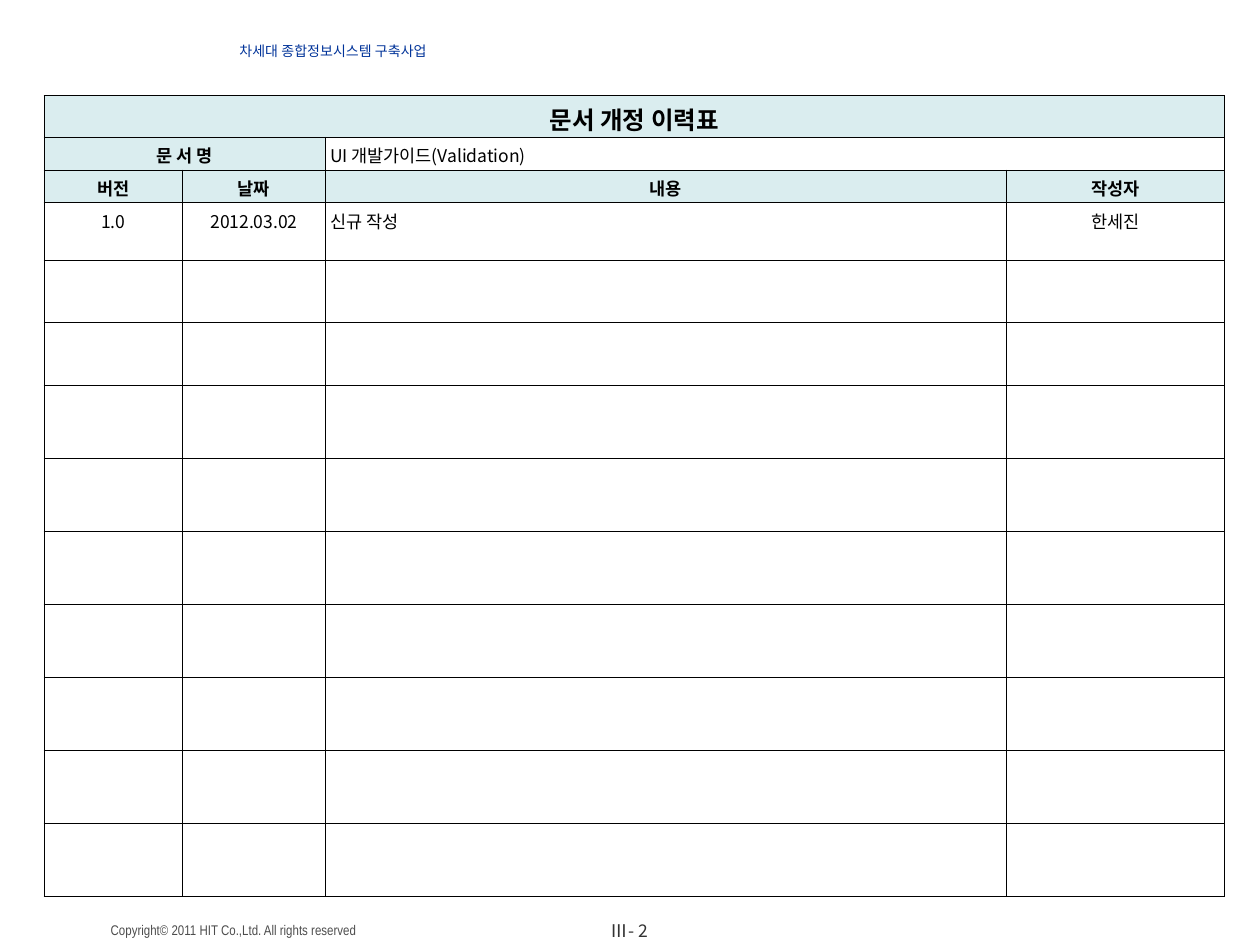
from dataclasses import dataclass

from lxml import etree
from pptx import Presentation
from pptx import util as u
from pptx.dml import color
from pptx.enum import text
from pptx.oxml import ns


@dataclass(frozen=True)
class Theme:
    sans: str = "Noto Sans CJK KR"
    narrow: str = "Arial Narrow"
    ink: str = "000000"
    project: str = "003399"
    page: str = "333333"
    copyright: str = "4D4D4D"
    heading: str = "DAEDEF"
    small: int = 8
    body: int = 10
    title: int = 14
    border: float = 0.5
    cell_margin: float = 0.04


class RevisionPage:
    def __init__(self, deck, theme):
        self.deck = deck
        self.theme = theme
        self.slide = deck.slides.add_slide(deck.slide_layouts[6])

    def across(self, percent):
        return round(self.deck.slide_width * percent / 100)

    def down(self, percent):
        return round(self.deck.slide_height * percent / 100)

    def set_text(self, frame, words, size, ink, face, bold=False, centred=True):
        para = frame.paragraphs[0]
        para.text = words
        para.alignment = text.PP_ALIGN.CENTER if centred else text.PP_ALIGN.LEFT
        font = para.font
        font.size, font.bold, font.name = u.Pt(size), bold, face
        font.color.rgb = color.RGBColor.from_string(ink)
        for properties in para._p.iter(ns.qn("a:defRPr")):
            etree.SubElement(properties, ns.qn("a:ea"), typeface=face)

    def label(self, left, top, width, height, words, size, ink, face, wrap=False):
        box = self.slide.shapes.add_textbox(
            self.across(left), self.down(top), self.across(width), self.down(height))
        frame = box.text_frame
        frame.margin_left = frame.margin_right = frame.margin_top = frame.margin_bottom = 0
        frame.word_wrap = wrap
        frame.auto_size = text.MSO_AUTO_SIZE.SHAPE_TO_FIT_TEXT
        self.set_text(frame, words, size, ink, face)

    def table(self, left, top, columns, rows):
        frame = self.slide.shapes.add_table(
            len(rows), len(columns), self.across(left), self.down(top),
            self.across(sum(columns)), self.down(sum(rows)))
        table = frame.table
        table.first_row = table.horz_banding = False
        for column, width in zip(table.columns, columns):
            column.width = self.across(width)
        for row, height in zip(table.rows, rows):
            row.height = self.down(height)
        for cell in table.iter_cells():
            cell.fill.background()
            cell.margin_left = cell.margin_right = u.Inches(self.theme.cell_margin)
            cell.margin_top = cell.margin_bottom = u.Inches(self.theme.cell_margin)
            self.outline(cell)
        return table

    def outline(self, cell):
        properties = cell._tc.get_or_add_tcPr()
        for place, side in enumerate(("lnL", "lnR", "lnT", "lnB")):
            line = etree.Element(ns.qn(f"a:{side}"), w=str(u.Pt(self.theme.border)))
            fill = etree.SubElement(line, ns.qn("a:solidFill"))
            etree.SubElement(fill, ns.qn("a:srgbClr"), val=self.theme.ink)
            properties.insert(place, line)

    def entry(self, cell, words, centred=True):
        self.set_text(cell.text_frame, words, self.theme.body, self.theme.ink,
                      self.theme.sans, centred=centred)

    def heading(self, cell, words, size):
        cell.fill.solid()
        cell.fill.fore_color.rgb = color.RGBColor.from_string(self.theme.heading)
        cell.vertical_anchor = text.MSO_ANCHOR.MIDDLE
        self.set_text(cell.text_frame, words, size, self.theme.ink, self.theme.sans, bold=True)


def main():
    deck = Presentation()
    deck.slide_width, deck.slide_height = u.Inches(10), u.Inches(7.5)
    theme = Theme()
    page = RevisionPage(deck, theme)

    page.label(5.5, 97.47, 26.1, 1.2, "Copyright© 2011 HIT Co.,Ltd. All rights reserved",
               theme.small, theme.copyright, theme.narrow)
    page.label(41.9, 97.33, 16.1, 1.6, "Ⅲ- 2", theme.body, theme.page, theme.sans, wrap=True)
    page.label(15.3, 4.53, 22.3, 0.93, "차세대 종합정보시스템 구축사업",
               theme.small, theme.project, theme.sans)

    history = page.table(3.5, 10.13, [11, 11.3, 54.1, 17.3],
                         [4.4, 3.47, 3.47, 6.13, 6.53, 6.67] + [7.73] * 7)
    history.cell(0, 0).merge(history.cell(0, 3))
    history.cell(1, 0).merge(history.cell(1, 1))
    history.cell(1, 2).merge(history.cell(1, 3))

    page.heading(history.cell(0, 0), "문서 개정 이력표", theme.title)
    page.heading(history.cell(1, 0), "문 서 명", theme.body)
    document = history.cell(1, 2)
    document.vertical_anchor = text.MSO_ANCHOR.MIDDLE
    page.entry(document, "UI 개발가이드(Validation)", centred=False)

    revision = [("버전", "1.0"), ("날짜", "2012.03.02"), ("내용", "신규 작성"), ("작성자", "한세진")]
    for column, (name, value) in enumerate(revision):
        page.heading(history.cell(2, column), name, theme.body)
        page.entry(history.cell(3, column), value, centred=name != "내용")

    deck.save("out.pptx")


if __name__ == "__main__":
    main()
